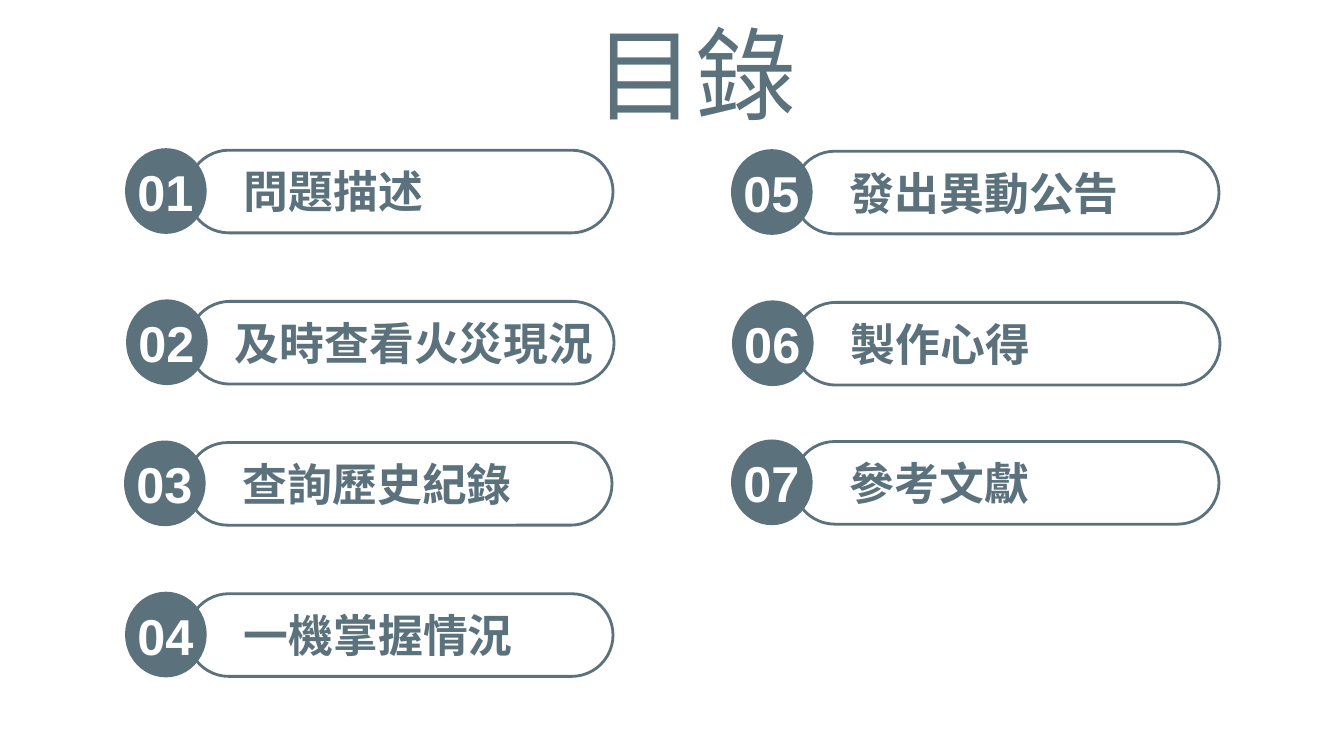
from lxml import etree
from pptx import Presentation
from pptx.dml.color import RGBColor
from pptx.enum.shapes import MSO_SHAPE as Shape
from pptx.enum.text import MSO_ANCHOR as Anchor, MSO_AUTO_SIZE as Auto, PP_ALIGN as Align
from pptx.oxml import parse_xml
from pptx.oxml.ns import qn
from pptx.util import Inches, Pt

SLATE, WHITE = "5B727D", "FFFFFF"
CJK, LATIN = "Noto Sans CJK SC", "Arial"
NS = "http://schemas.openxmlformats.org/drawingml/2006/main"
SHADOW = (f'<a:effectLst xmlns:a="{NS}"><a:outerShdw blurRad="38100" dist="38100" '
          'dir="2700000" algn="tl"><a:srgbClr val="000000"><a:alpha val="43000"/>'
          '</a:srgbClr></a:outerShdw></a:effectLst>')

# Number, label, left and top of each entry
ITEMS = [
    ("01", "問題描述", 1.24, 1.47),
    ("02", "及時查看火災現況", 1.25, 2.97),
    ("03", "查詢歷史紀錄", 1.23, 4.37),
    ("04", "一機掌握情況", 1.24, 5.87),
    ("05", "發出異動公告", 7.25, 1.48),
    ("06", "製作心得", 7.26, 2.98),
    ("07", "參考文獻", 7.25, 4.36),
]


def color(code):
    return RGBColor.from_string(code)


def box(x, y, w, h):
    return [Inches(v) for v in (x, y, w, h)]


def write(frame, text, size, face, ink, align, bold=True):
    frame.text = text
    para = frame.paragraphs[0]
    para.alignment = align
    run = para.runs[0]
    font = run.font
    font.size, font.bold = Pt(size), bold
    font.color.rgb = color(ink)
    font.name = face
    etree.SubElement(font._element, qn("a:ea"), typeface=face)
    return font


def draw_title(slide, x, y, w, h):
    title = slide.shapes.title
    title.left, title.top, title.width, title.height = box(x, y, w, h)
    frame = title.text_frame
    font = write(frame, "目錄", 72, CJK, SLATE, Align.CENTER, False)
    frame.vertical_anchor = Anchor.MIDDLE
    frame.auto_size = Auto.NONE
    font._element.find(qn("a:solidFill")).addnext(parse_xml(SHADOW))


def draw_item(slide, num, label, x, y):
    parts = slide.shapes.add_group_shape().shapes

    # Outlined pill
    pill = parts.add_shape(Shape.ROUNDED_RECTANGLE, *box(x + 0.62, y + 0.02, 4.22, 0.82))
    pill.adjustments[0] = 0.5
    pill.shadow.inherit = False
    pill.fill.background()
    pill.line.color.rgb = color(SLATE)
    pill.line.width = Pt(2)

    # Label, with a wider box for a long one
    dx, w = (0.98, 3.78) if len(label) > 6 else (1.08, 3.46)
    text = parts.add_textbox(*box(x + dx, y + 0.11, w, 0.64)).text_frame
    text.word_wrap = True
    text.auto_size = Auto.SHAPE_TO_FIT_TEXT
    write(text, label, 32, CJK, SLATE, Align.JUSTIFY)

    # Number on a disc
    disc = parts.add_shape(Shape.OVAL, *box(x, y, 0.81, 0.85))
    disc.shadow.inherit = False
    disc.fill.solid()
    disc.fill.fore_color.rgb = color(SLATE)
    disc.line.fill.background()
    text = parts.add_textbox(*box(x + 0.02, y + 0.08, 0.76, 0.71)).text_frame
    text.word_wrap = False
    text.auto_size = Auto.SHAPE_TO_FIT_TEXT
    write(text, num, 36, LATIN, WHITE, Align.CENTER)


def main():
    deck = Presentation()
    deck.slide_width, deck.slide_height = Inches(13.33), Inches(7.5)
    slide = deck.slides.add_slide(deck.slide_layouts[5])
    draw_title(slide, 5.57, 0.33, 2.66, 0.77)
    for item in ITEMS:
        draw_item(slide, *item)
    deck.save("out.pptx")


if __name__ == "__main__":
    main()
